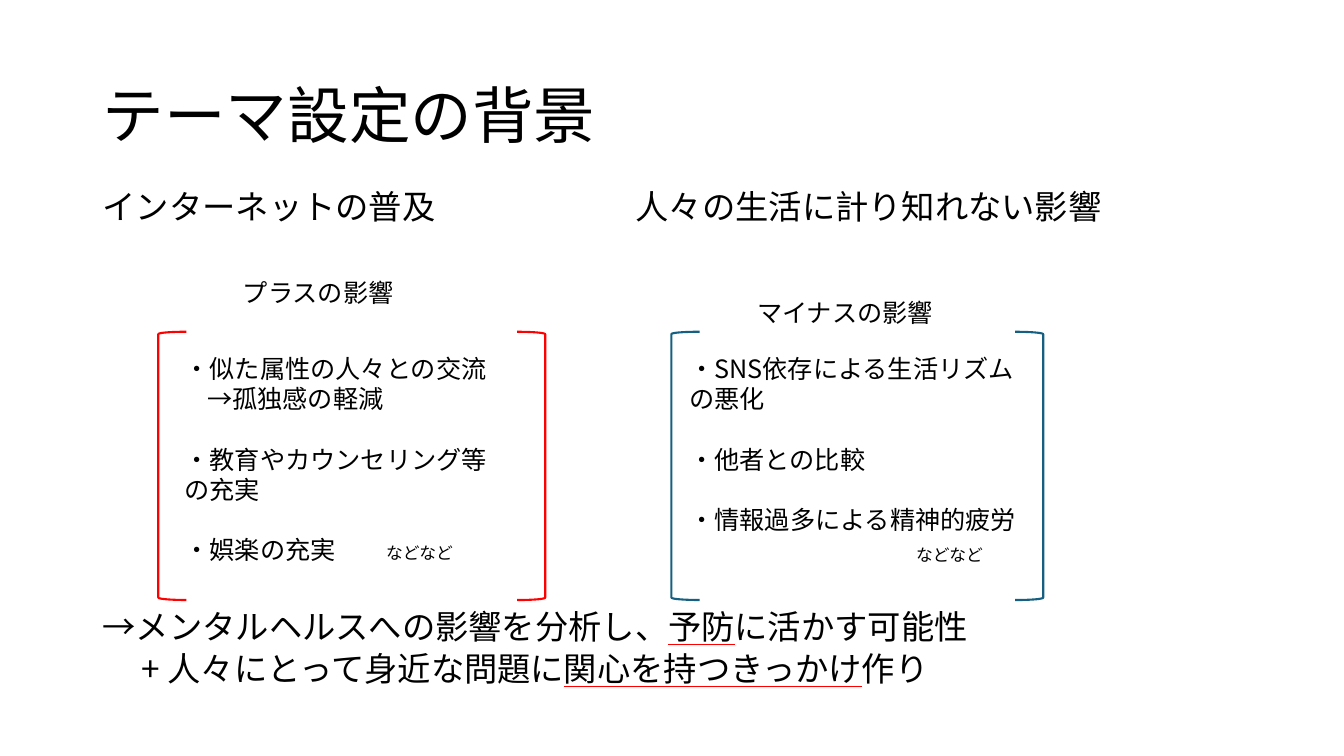
from lxml import etree
from pptx import Presentation
from pptx.dml.color import RGBColor
from pptx.enum import shapes, text
from pptx.oxml import ns
from pptx.util import Cm, Pt


class Theme:
    font = "Noto Sans CJK JP"
    ink = "000000"
    red = "FF0000"
    blue = "156082"
    title, lead, body, small = 44, 23.8, 18, 12
    descent = 0.288  # part of the type size below the baseline


# Content: a paragraph is (runs, indent cm, tab cm, space before pt),
# a run is (words, style)
GAP = 21.6
title = [([("テーマ設定の背景", "")], 0, 0, 0)]
lead = [([("インターネットの普及\t人々の生活に計り知れない影響", "")], 0, 13.43, 0)]
close = [
    ([("→メンタルヘルスへの影響を分析し、", ""), ("予防", "mark"),
      ("に活かす可能性", "")], 0, 0, 0),
    ([("+ 人々にとって身近な問題に", ""), ("関心を持つきっかけ", "mark"),
      ("作り", "")], 0.98, 0, 0),
]
plus = [
    ([("・似た属性の人々との交流", "")], 0, 0, 0),
    ([("→孤独感の軽減", "")], 0.57, 0, 0),
    ([("・教育やカウンセリング等の充実", "")], 0, 0, GAP),
    ([("・娯楽の充実\t", ""), ("などなど", "small")], 0, 5.08, GAP),
]
minus = [
    ([("・SNS依存による生活リズムの悪化", "")], 0, 0, 0),
    ([("・他者との比較", "")], 0, 0, GAP),
    ([("・情報過多による精神的疲労", "")], 0, 0, GAP),
    ([("などなど", "small")], 5.72, 0, 0),
]

# Left, first baseline, width (cm), type size, line pitch (pt), paragraphs
blocks = [
    (2.59, 3.35, 28.7, Theme.title, 52.8, title),
    (2.59, 5.46, 28.7, Theme.lead, 30, lead),
    (2.59, 16.04, 28.7, Theme.lead, 30, close),
    (6.12, 7.56, 5.4, Theme.body, GAP, [([("プラスの影響", "")], 0, 0, 0)]),
    (19.08, 8.06, 5.4, Theme.body, GAP, [([("マイナスの影響", "")], 0, 0, 0)]),
    (4.65, 9.48, 7.85, Theme.body, GAP, plus),
    (17.37, 9.48, 8.64, Theme.body, GAP, minus),
]

# Left edges of each bracket pair, colour
pairs = [((3.99, 13.03), Theme.red), ((16.92, 25.58), Theme.blue)]


def style_run(run, style, size):
    font = run.font
    font.name = Theme.font
    font.size = Pt(Theme.small if style == "small" else size)
    font.color.rgb = RGBColor.from_string(Theme.ink)
    props = run._r.get_or_add_rPr()
    if style == "mark":
        font.underline = True
        fill = etree.Element(ns.qn("a:uFill"))
        solid = etree.SubElement(fill, ns.qn("a:solidFill"))
        etree.SubElement(solid, ns.qn("a:srgbClr"), val=Theme.red)
        props.find(ns.qn("a:latin")).addprevious(fill)
    east = etree.Element(ns.qn("a:ea"), typeface=Theme.font)
    props.find(ns.qn("a:latin")).addnext(east)


def add_block(slide, left, base, width, size, pitch, paras):
    drop = Pt(pitch - Theme.descent * size)
    high = Pt(sum(pitch + para[3] for para in paras))
    box = slide.shapes.add_textbox(Cm(left), Cm(base) - drop, Cm(width), high)
    frame = box.text_frame
    frame.word_wrap = True
    frame.vertical_anchor = text.MSO_ANCHOR.TOP
    frame.margin_left = frame.margin_right = 0
    frame.margin_top = frame.margin_bottom = 0
    for i, (runs, indent, tab, gap) in enumerate(paras):
        par = frame.add_paragraph() if i else frame.paragraphs[0]
        props = par._p.get_or_add_pPr()
        if indent:
            props.set("marL", str(Cm(indent)))
        if tab:
            tabs = etree.SubElement(props, ns.qn("a:tabLst"))
            etree.SubElement(tabs, ns.qn("a:tab"), pos=str(Cm(tab)), algn="l")
        par.line_spacing = Pt(pitch)
        par.space_before = Pt(gap)
        for words, style in runs:
            run = par.add_run()
            run.text = words
            style_run(run, style, size)


def add_pair(slide, lefts, colour):
    for left, turn in zip(lefts, (0, 180)):
        shape = slide.shapes.add_shape(
            shapes.MSO_SHAPE.LEFT_BRACKET, Cm(left), Cm(8.36), Cm(0.71), Cm(6.76))
        shape.rotation = turn
        shape.shadow.inherit = False
        shape.fill.background()
        shape.line.color.rgb = RGBColor.from_string(colour)
        shape.line.width = Pt(1.5)


def main():
    deck = Presentation()
    deck.slide_width, deck.slide_height = Cm(33.87), Cm(19.05)
    slide = deck.slides.add_slide(deck.slide_layouts[6])
    # Brackets behind the words
    for lefts, colour in pairs:
        add_pair(slide, lefts, colour)
    # Words
    for block in blocks:
        add_block(slide, *block)
    deck.save("out.pptx")


if __name__ == "__main__":
    main()
